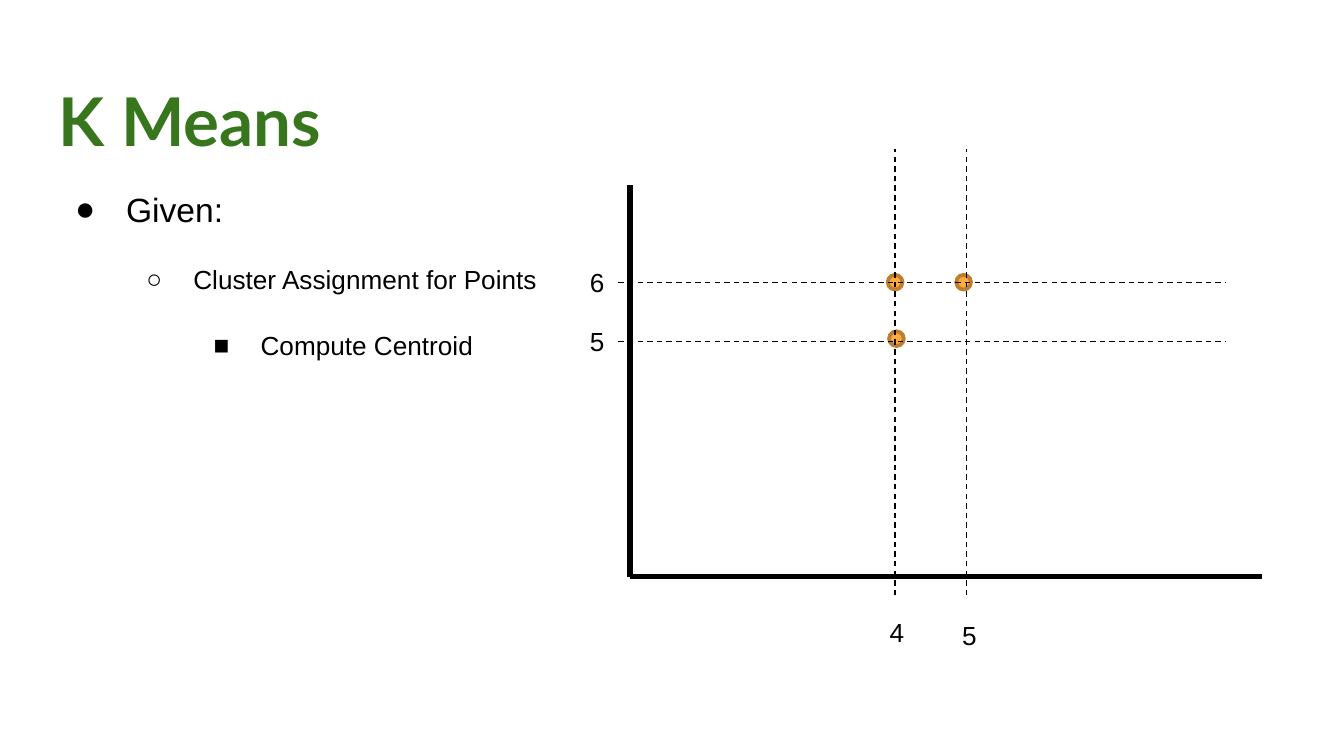
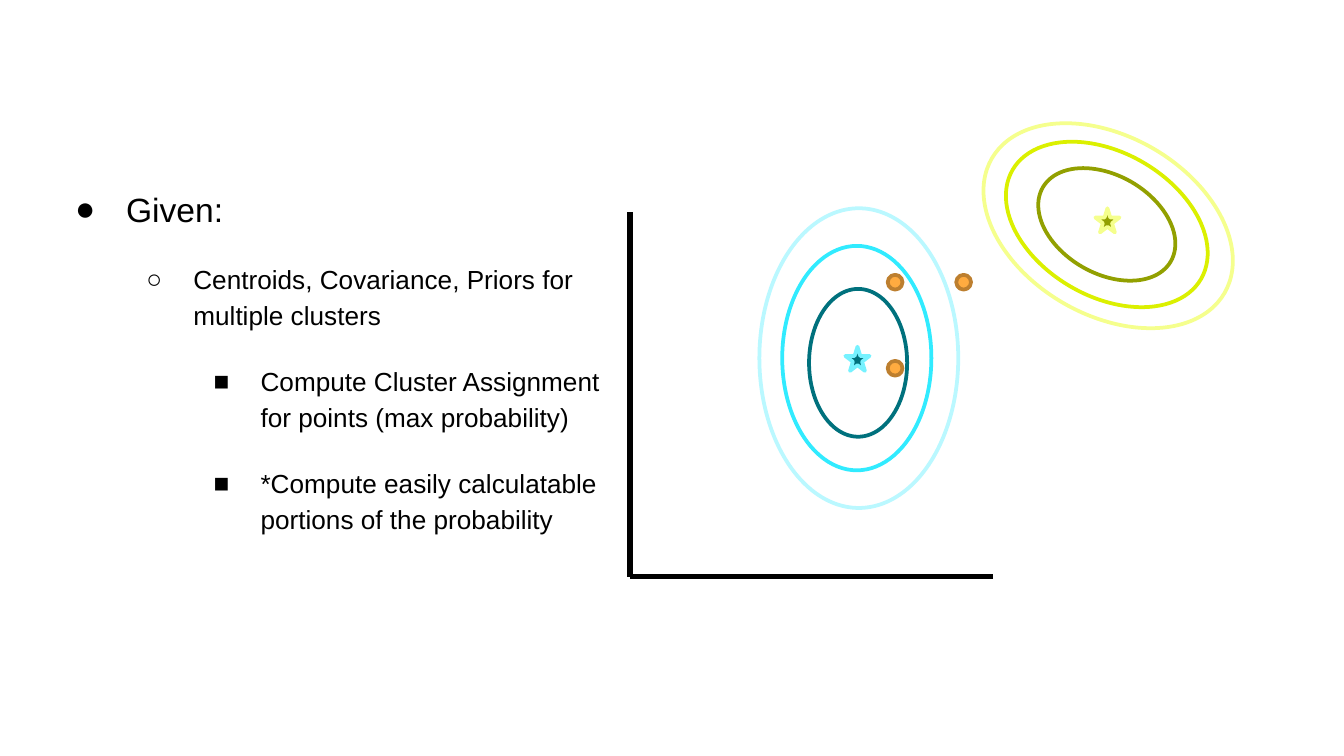
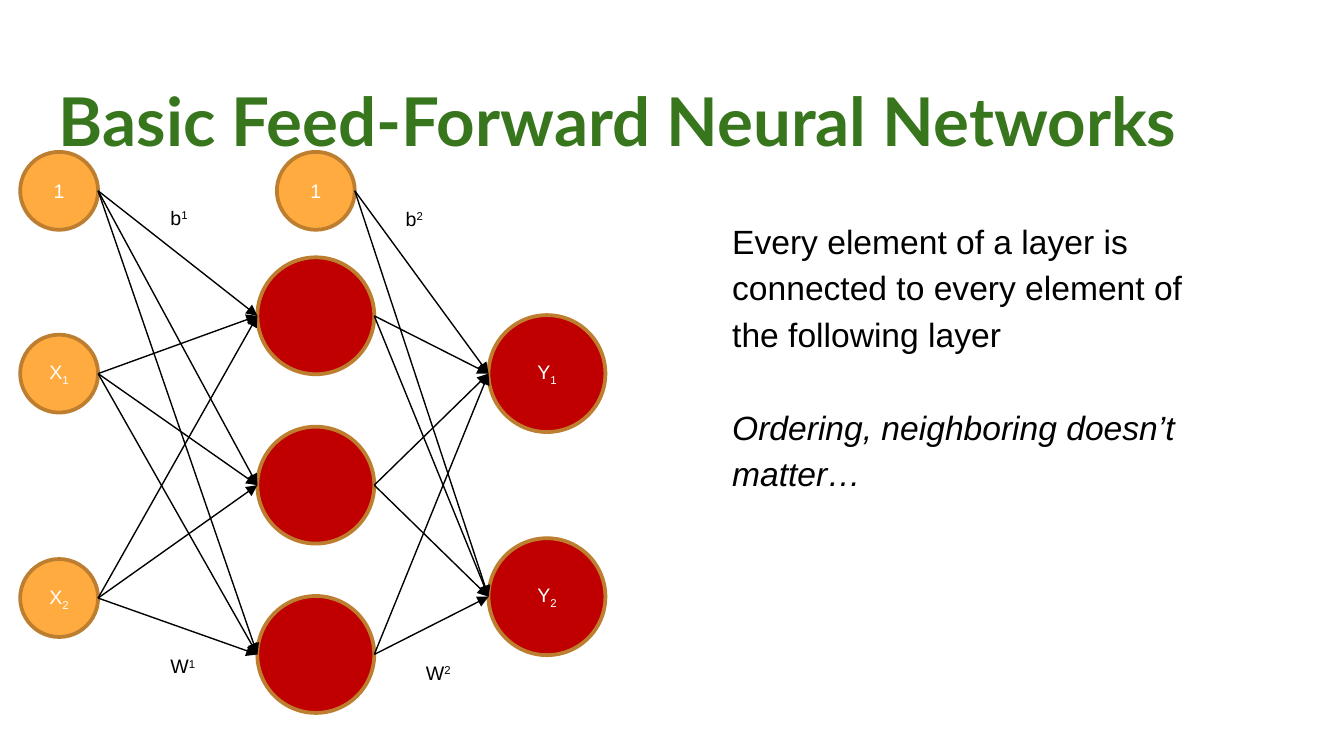
from dataclasses import dataclass
from itertools import pairwise, product

from lxml import etree
from pptx import Presentation
from pptx.dml.color import RGBColor
from pptx.enum.dml import MSO_LINE
from pptx.enum.shapes import MSO_CONNECTOR, MSO_SHAPE
from pptx.enum.text import MSO_ANCHOR, PP_ALIGN
from pptx.oxml.ns import qn
from pptx.util import Inches, Pt

STRAIGHT = MSO_CONNECTOR.STRAIGHT
OVAL = MSO_SHAPE.OVAL
STAR = MSO_SHAPE.STAR_5_POINT
DASH = MSO_LINE.DASH
MIDDLE = MSO_ANCHOR.MIDDLE
CENTER = PP_ALIGN.CENTER

BLACK = "000000"
WHITE = "FFFFFF"
GREEN = "38761D"
ORANGE = "FFAB40"
BROWN = "BD7F2F"
RED = "C00000"
TITLE_FONT = "Lato"
BODY_FONT = "Arial"

Point = tuple[float, float]


@dataclass(frozen=True)
class Box:
    left: float
    top: float
    width: float
    height: float


@dataclass(frozen=True)
class BulletStyle:
    mark: str
    margin: float
    hanging: float
    size: float
    space_before: float


@dataclass(frozen=True)
class Bullet:
    level: int
    text: str


@dataclass(frozen=True)
class Outline:
    box: Box
    color: str
    rotation: float = 0


@dataclass(frozen=True)
class Star:
    box: Box
    fill: str
    line: str


@dataclass(frozen=True)
class Label:
    text: str
    index: str = ""


@dataclass(frozen=True)
class Node:
    center: Point
    diameter: float
    fill: str
    label: Label = Label("")

    @property
    def box(self) -> Box:
        x, y = self.center
        radius = self.diameter / 2
        return Box(x - radius, y - radius, self.diameter, self.diameter)

    @property
    def left_side(self) -> Point:
        return self.center[0] - self.diameter / 2, self.center[1]

    @property
    def right_side(self) -> Point:
        return self.center[0] + self.diameter / 2, self.center[1]


BULLET_STYLES = [
    BulletStyle("●", 0.5, 0.38, 18, 0),
    BulletStyle("○", 1, 0.35, 14, 16),
    BulletStyle("■", 1.5, 0.35, 14, 16),
]
TITLE_BOX = Box(0.34, 0.49, 9.32, 0.63)
BODY_BOX = Box(0.34, 1.26, 9.32, 3.74)
ORIGIN = (4.69, 4.29)
DOT = 0.11
SMALL_NODE = 0.58
LARGE_NODE = 0.87


def rgb(color: str) -> RGBColor:
    return RGBColor.from_string(color)


def style_para(para, size: float, color: str = BLACK, name: str = BODY_FONT) -> None:
    para.font.size = Pt(size)
    para.font.name = name
    para.font.color.rgb = rgb(color)


def add_text_frame(page, box: Box, inset: float = 0.1, wrap: bool = True):
    shape = page.shapes.add_textbox(
        Inches(box.left), Inches(box.top), Inches(box.width), Inches(box.height)
    )
    frame = shape.text_frame
    frame.word_wrap = wrap
    frame.margin_top = frame.margin_bottom = Inches(inset)
    return frame


def add_title(page, text: str) -> None:
    para = add_text_frame(page, TITLE_BOX).paragraphs[0]
    para.text = text
    style_para(para, 36, GREEN, TITLE_FONT)
    para.font.bold = True


def add_bullets(page, bullets: list[Bullet]) -> None:
    frame = add_text_frame(page, BODY_BOX)
    for position, bullet in enumerate(bullets):
        style = BULLET_STYLES[bullet.level]
        para = frame.add_paragraph() if position else frame.paragraphs[0]
        para.text = bullet.text
        para.level = bullet.level
        para.line_spacing = 1.15
        para.space_before = Pt(style.space_before)
        properties = para._p.get_or_add_pPr()
        properties.set("marL", str(Inches(style.margin)))
        properties.set("indent", str(-Inches(style.hanging)))
        etree.SubElement(properties, qn("a:buFont"), typeface=BODY_FONT)
        etree.SubElement(properties, qn("a:buChar"), char=style.mark)
        style_para(para, style.size)


def add_figure(page, kind, box: Box, line: str, fill: str = "", rotation: float = 0):
    shape = page.shapes.add_shape(
        kind, Inches(box.left), Inches(box.top), Inches(box.width), Inches(box.height)
    )
    shape.shadow.inherit = False
    shape.rotation = rotation
    if fill:
        shape.fill.solid()
        shape.fill.fore_color.rgb = rgb(fill)
    else:
        shape.fill.background()
    shape.line.color.rgb = rgb(line)
    shape.line.width = Pt(2)
    return shape


def add_line(page, start: Point, end: Point, width: float = 0.75):
    ends = [Inches(value) for value in (*start, *end)]
    connector = page.shapes.add_connector(STRAIGHT, *ends)
    connector.line.color.rgb = rgb(BLACK)
    connector.line.width = Pt(width)
    etree.SubElement(connector._element.spPr, qn("a:effectLst"))
    return connector


def add_guide(page, start: Point, end: Point) -> None:
    add_line(page, start, end).line.dash_style = DASH


def add_arrow(page, start: Point, end: Point) -> None:
    line = add_line(page, start, end).line
    etree.SubElement(line._get_or_add_ln(), qn("a:tailEnd"), type="triangle")


def add_axes(page, top: float, right: float) -> None:
    add_line(page, (ORIGIN[0], top), ORIGIN, 3)
    add_line(page, (right, ORIGIN[1]), ORIGIN, 3)


def add_dots(page, centers: list[Point]) -> None:
    for center in centers:
        add_figure(page, OVAL, Node(center, DOT, ORANGE).box, BROWN, ORANGE)


def write_label(para, label: Label, size: float, color: str, baseline: int = 0) -> None:
    para.add_run().text = label.text
    if label.index:
        span = para.add_run()
        span.text = label.index
        span._r.get_or_add_rPr().set("baseline", str(baseline))
    style_para(para, size, color)


def add_node(page, node: Node) -> None:
    shape = add_figure(page, OVAL, node.box, BROWN, node.fill)
    if node.label.text:
        shape.text_frame.vertical_anchor = MIDDLE
        para = shape.text_frame.paragraphs[0]
        para.alignment = CENTER
        write_label(para, node.label, 10.5, WHITE, -25000)


def build_k_means(page) -> None:
    add_title(page, "K Means")
    add_bullets(page, [
        Bullet(0, "Given:"),
        Bullet(1, "Cluster Assignment for Points"),
        Bullet(2, "Compute Centroid"),
    ])
    add_axes(page, 1.38, 9.39)
    add_dots(page, [(6.66, 2.1), (6.67, 2.52), (7.17, 2.1)])
    for y in (2.1, 2.54):
        add_guide(page, (4.6, y), (9.12, y))
    for x in (6.66, 7.19):
        add_guide(page, (x, 4.43), (x, 1.11))
    for text, left, top in (
        ("4", 6.52, 4.54), ("5", 7.06, 4.56), ("5", 4.29, 2.37), ("6", 4.29, 1.93)
    ):
        frame = add_text_frame(page, Box(left, top, 0.31, 0.34), 0.05, False)
        write_label(frame.paragraphs[0], Label(text), 14, BLACK)


def build_mixture(page) -> None:
    add_bullets(page, [
        Bullet(0, "Given:"),
        Bullet(1, "Centroids, Covariance, Priors for\nmultiple clusters"),
        Bullet(2, "Compute Cluster Assignment\nfor points (max probability)"),
        Bullet(2, "*Compute easily calculatable\nportions of the probability"),
    ])
    add_axes(page, 1.58, 7.39)
    for star in (
        Star(Box(6.29, 2.58, 0.18, 0.18), "00717D", "76F2FF"),
        Star(Box(8.15, 1.55, 0.18, 0.18), "92A000", "F5FF8D"),
    ):
        add_figure(page, STAR, star.box, star.line, star.fill)
    add_dots(page, [(6.66, 2.1), (6.66, 2.74), (7.17, 2.1)])
    for outline in (
        Outline(Box(6.02, 2.15, 0.73, 1.1), "00717D"),
        Outline(Box(5.82, 1.83, 1.11, 1.67), "31EBFF"),
        Outline(Box(5.65, 1.55, 1.48, 2.23), "BAF8FF"),
        Outline(Box(7.87, 1.12, 0.73, 1.1), "92A000", 120),
        Outline(Box(7.7, 0.86, 1.07, 1.62), "DBF000", 120),
        Outline(Box(7.58, 0.68, 1.33, 2), "F5FF8D", 120),
    ):
        add_figure(page, OVAL, outline.box, outline.color, rotation=outline.rotation)


def build_network(page) -> None:
    add_title(page, "Basic Feed-Forward Neural Networks")
    frame = add_text_frame(page, Box(5.35, 1.5, 3.96, 4.13))
    statement, remark = frame.paragraphs[0], frame.add_paragraph()
    statement.text = (
        "Every element of a layer is connected to every element of the following layer"
    )
    remark.text = "Ordering, neighboring doesn’t matter…"
    for para in (statement, remark):
        para.line_spacing = 1.15
        style_para(para, 18)
    remark.space_before = Pt(25)
    remark.font.italic = True

    input_x, hidden_x, output_x = 0.44, 2.35, 4.07
    bias_y = 1.42
    biases = [
        Node((x, bias_y), SMALL_NODE, ORANGE, Label("1")) for x in (input_x, hidden_x)
    ]
    inputs = [
        Node((input_x, y), SMALL_NODE, ORANGE, Label("X", index))
        for y, index in ((2.78, "1"), (4.45, "2"))
    ]
    hidden = [Node((hidden_x, 2.35 + 1.26 * row), LARGE_NODE, RED) for row in range(3)]
    outputs = [
        Node((output_x, y), LARGE_NODE, RED, Label("Y", index))
        for y, index in ((2.78, "1"), (4.44, "2"))
    ]
    layers = [inputs, hidden, outputs]
    for node in biases + inputs + hidden + outputs:
        add_node(page, node)
    for bias, (sources, targets) in zip(biases, pairwise(layers)):
        for source, target in product([bias, *sources], targets):
            add_arrow(page, source.right_side, target.left_side)

    for label, left, top in (
        (Label("b", "1"), 1.17, 1.48),
        (Label("b", "2"), 2.92, 1.49),
        (Label("W", "1"), 1.17, 4.82),
        (Label("W", "2"), 3.07, 4.87),
    ):
        frame = add_text_frame(page, Box(left, top, 0.48, 0.28), 0.05)
        write_label(frame.paragraphs[0], label, 10.5, BLACK, 30000)


def main() -> None:
    deck = Presentation()
    deck.slide_width = Inches(10)
    deck.slide_height = deck.slide_width * 9 // 16
    blank = deck.slide_layouts[6]
    for build in (build_k_means, build_mixture, build_network):
        build(deck.slides.add_slide(blank))
    deck.save("out.pptx")


if __name__ == "__main__":
    main()
